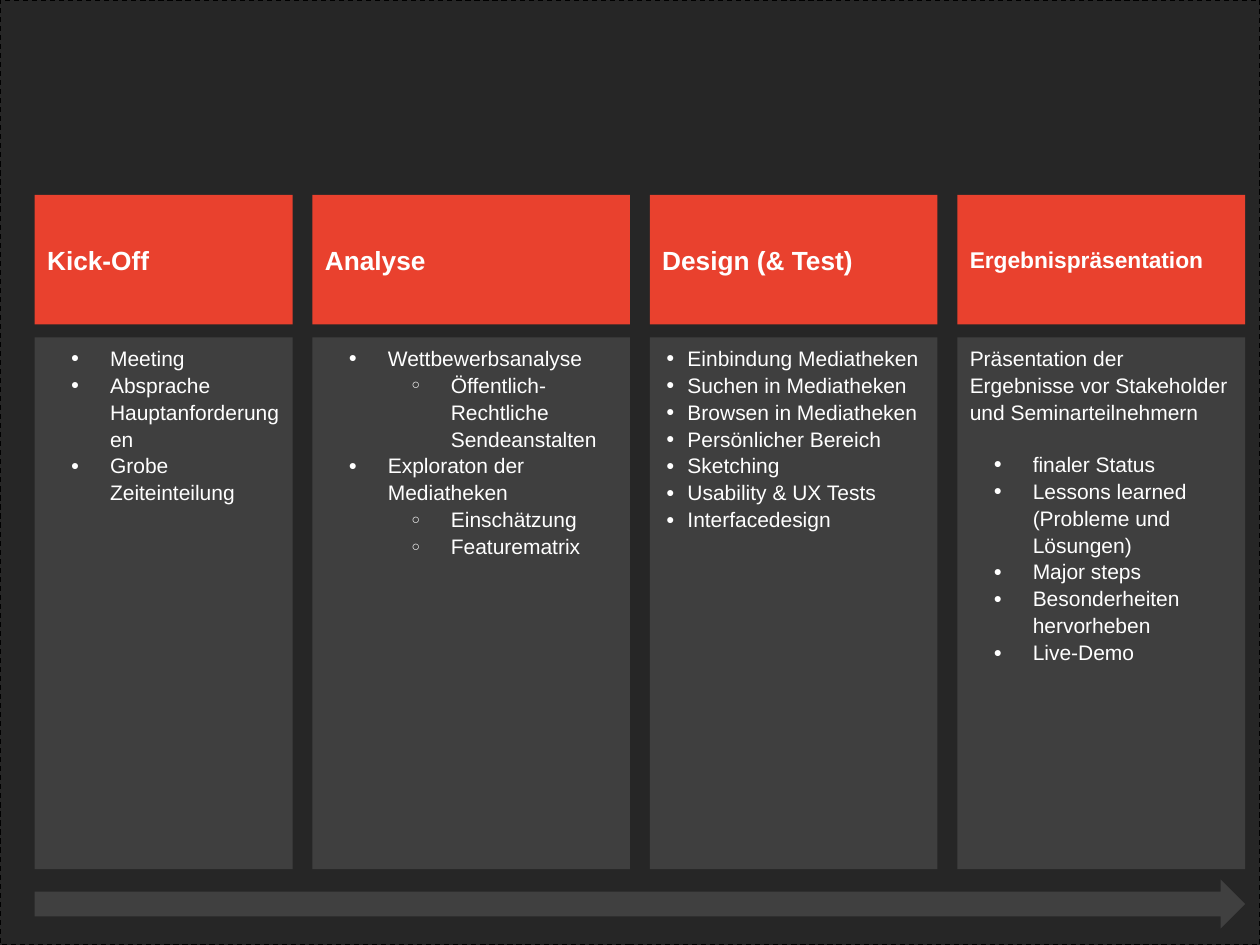
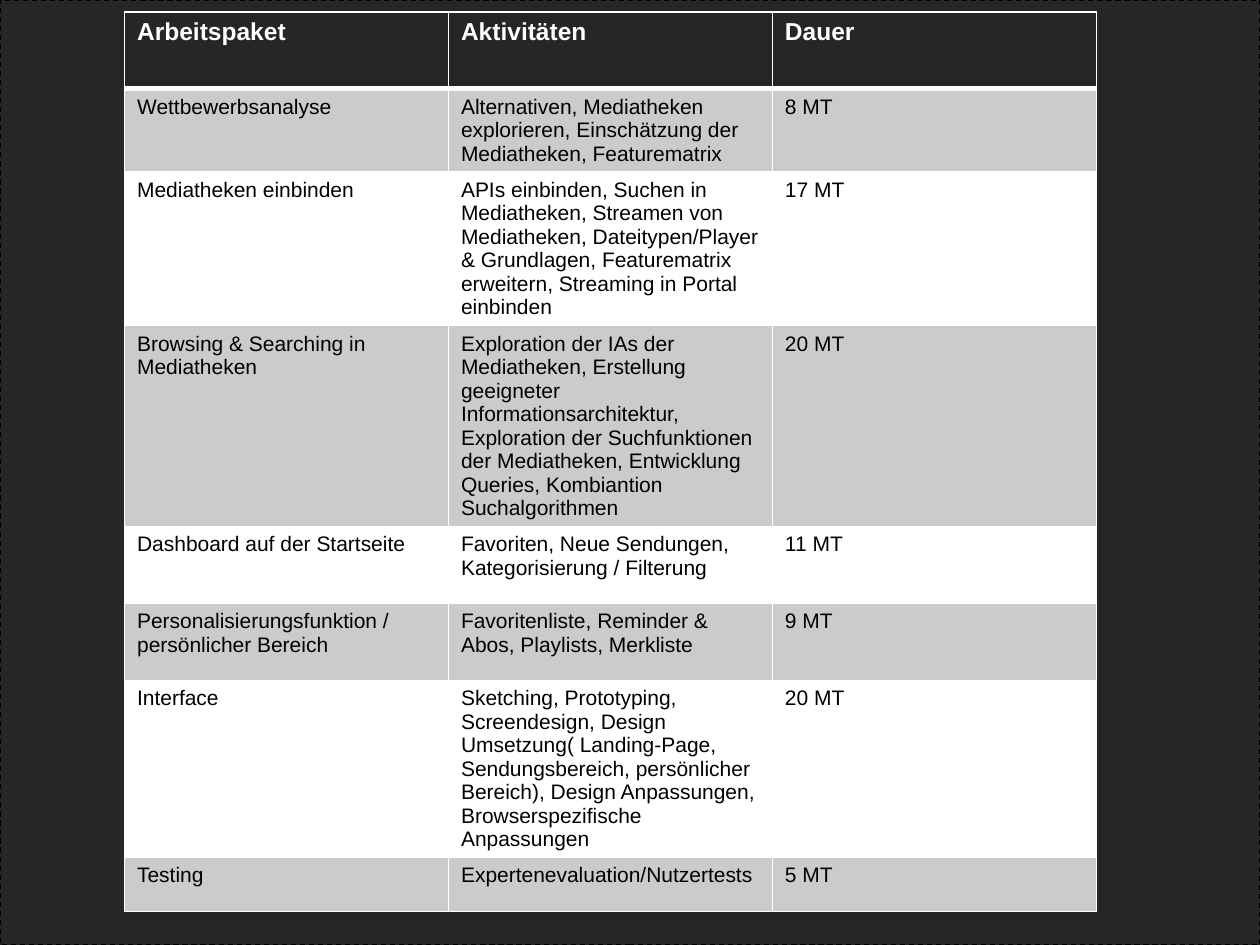
from dataclasses import dataclass
from typing import Optional

from lxml.etree import SubElement
from pptx import Presentation
from pptx.dml.color import RGBColor
from pptx.enum.dml import MSO_LINE
from pptx.enum.shapes import MSO_SHAPE
from pptx.enum.text import MSO_ANCHOR, PP_ALIGN
from pptx.oxml import parse_xml
from pptx.oxml.ns import nsdecls, qn
from pptx.util import Cm, Pt

WHITE = RGBColor(0xFF, 0xFF, 0xFF)
BLACK = RGBColor(0x00, 0x00, 0x00)
BACKDROP = RGBColor(0x26, 0x26, 0x26)
RED = RGBColor(0xE9, 0x41, 0x2E)
PANEL = RGBColor(0x3F, 0x3F, 0x3F)
ARROW = RGBColor(0x40, 0x40, 0x40)
BAND = RGBColor(0xCB, 0xCB, 0xCB)
FONT = "Arial"
PAGE_WIDTH, PAGE_HEIGHT = 25.4, 19.05
PHASE_LEFT, PHASE_GAP = 0.7, 0.4


@dataclass(frozen=True)
class Bullet:
    symbol: str
    margin: float
    indent: float
    level: int = 0


DOT = Bullet("●", 1.27, -0.79)
RING = Bullet("○", 2.54, -0.79, 1)
TIGHT_DOT = Bullet("●", 0.51, -0.43)


@dataclass(frozen=True)
class Item:
    text: str
    bullet: Optional[Bullet] = DOT
    space_before: float = 0


@dataclass(frozen=True)
class Phase:
    title: str
    width: float
    items: list[Item]
    title_size: int = 15


@dataclass(frozen=True)
class WorkPackage:
    name: str
    activities: str
    effort: str
    height: float = 1.55


PHASES = [
    Phase("Kick-Off", 5.2, [
        Item("Meeting"),
        Item("Absprache Hauptanforderungen"),
        Item("Grobe Zeiteinteilung"),
    ]),
    Phase("Analyse", 6.4, [
        Item("Wettbewerbsanalyse"),
        Item("Öffentlich-Rechtliche Sendeanstalten", RING),
        Item("Exploraton der Mediatheken"),
        Item("Einschätzung", RING),
        Item("Featurematrix", RING),
    ]),
    Phase("Design (& Test)", 5.8, [
        Item(text, TIGHT_DOT) for text in (
            "Einbindung Mediatheken", "Suchen in Mediatheken",
            "Browsen in Mediatheken", "Persönlicher Bereich",
            "Sketching", "Usability & UX Tests", "Interfacedesign")
    ]),
    Phase("Ergebnispräsentation", 5.8, [
        Item("Präsentation der Ergebnisse vor Stakeholder und Seminarteilnehmern", None),
        Item("finaler Status", space_before=14.4),
        Item("Lessons learned (Probleme und Lösungen)"),
        Item("Major steps"),
        Item("Besonderheiten hervorheben"),
        Item("Live-Demo"),
    ], 13),
]

WORK_PACKAGES = [
    WorkPackage("Arbeitspaket", "Aktivitäten", "Dauer"),
    WorkPackage("Wettbewerbsanalyse",
                "Alternativen, Mediatheken explorieren, Einschätzung der Mediatheken, "
                "Featurematrix", "8 MT"),
    WorkPackage("Mediatheken einbinden",
                "APIs einbinden, Suchen in Mediatheken, Streamen von Mediatheken, "
                "Dateitypen/Player & Grundlagen, Featurematrix erweitern, "
                "Streaming in Portal einbinden", "17 MT"),
    WorkPackage("Browsing & Searching in Mediatheken",
                "Exploration der IAs der Mediatheken, Erstellung geeigneter "
                "Informationsarchitektur, Exploration der Suchfunktionen der Mediatheken, "
                "Entwicklung Queries, Kombiantion Suchalgorithmen", "20 MT"),
    WorkPackage("Dashboard auf der Startseite",
                "Favoriten, Neue Sendungen, Kategorisierung / Filterung", "11 MT"),
    WorkPackage("Personalisierungsfunktion / persönlicher Bereich",
                "Favoritenliste, Reminder & Abos, Playlists, Merkliste", "9 MT"),
    WorkPackage("Interface",
                "Sketching, Prototyping, Screendesign, Design Umsetzung( Landing-Page, "
                "Sendungsbereich, persönlicher Bereich), Design Anpassungen, "
                "Browserspezifische Anpassungen", "20 MT", 3.35),
    WorkPackage("Testing", "Expertenevaluation/Nutzertests", "5 MT", 1.09),
]


def write(para, text: str, *, size: float = 12, color: RGBColor = WHITE,
          bold: bool = False, bullet: Optional[Bullet] = None,
          line_spacing: float = 1.0, space_before: float = 0) -> None:
    para.alignment = PP_ALIGN.LEFT
    para.line_spacing = line_spacing
    para.space_before = Pt(space_before)
    span = para.add_run()
    span.text = text
    span.font.name = FONT
    span.font.size = Pt(size)
    span.font.bold = bold
    span.font.color.rgb = color
    if bullet:
        para.level = bullet.level
        properties = para._p.get_or_add_pPr()
        properties.set("marL", str(Cm(bullet.margin)))
        properties.set("indent", str(Cm(bullet.indent)))
        bullet_color = SubElement(properties, qn("a:buClr"))
        SubElement(bullet_color, qn("a:srgbClr"), val=str(color))
        SubElement(properties, qn("a:buSzPct"), val="67000")
        SubElement(properties, qn("a:buFont"), typeface=FONT)
        SubElement(properties, qn("a:buChar"), char=bullet.symbol)


def add_box(page, left: float, top: float, width: float, height: float,
            fill: RGBColor, *, kind=MSO_SHAPE.RECTANGLE, anchor=MSO_ANCHOR.TOP):
    box = page.shapes.add_shape(kind, Cm(left), Cm(top), Cm(width), Cm(height))
    box.shadow.inherit = False
    box.fill.solid()
    box.fill.fore_color.rgb = fill
    box.line.fill.background()
    box.text_frame.word_wrap = True
    box.text_frame.vertical_anchor = anchor
    return box


def add_page(deck):
    page = deck.slides.add_slide(deck.slide_layouts[6])
    backdrop = add_box(page, 0, 0, PAGE_WIDTH, PAGE_HEIGHT, BACKDROP)
    backdrop.line.color.rgb = BLACK
    backdrop.line.width = Pt(0.75)
    backdrop.line.dash_style = MSO_LINE.DASH
    return page


def add_phase(page, phase: Phase, left: float) -> None:
    header = add_box(page, left, 3.93, phase.width, 2.61, RED, anchor=MSO_ANCHOR.MIDDLE)
    write(header.text_frame.paragraphs[0], phase.title, size=phase.title_size, bold=True)
    frame = add_box(page, left, 6.8, phase.width, 10.72, PANEL).text_frame
    for index, item in enumerate(phase.items):
        para = frame.add_paragraph() if index else frame.paragraphs[0]
        write(para, item.text, bullet=item.bullet, line_spacing=1.07,
              space_before=item.space_before)


def set_borders(cell, top: float, bottom: float) -> None:
    properties = cell._tc.get_or_add_tcPr()
    sides = {"lnL": 1, "lnR": 1, "lnT": top, "lnB": bottom}
    for index, (side, width) in enumerate(sides.items()):
        properties.insert(index, parse_xml(
            f'<a:{side} {nsdecls("a")} w="{Pt(width)}"><a:solidFill>'
            f'<a:srgbClr val="{WHITE}"/></a:solidFill></a:{side}>'))


def build_phases(deck) -> None:
    page = add_page(deck)
    left = PHASE_LEFT
    for phase in PHASES:
        add_phase(page, phase, left)
        left += phase.width + PHASE_GAP
    add_box(page, PHASE_LEFT, 17.73, left - PHASE_GAP - PHASE_LEFT, 0.99, ARROW,
            kind=MSO_SHAPE.RIGHT_ARROW)


def build_work_packages(deck) -> None:
    page = add_page(deck)
    column_width = 6.53
    height = sum(package.height for package in WORK_PACKAGES)
    table = page.shapes.add_table(len(WORK_PACKAGES), 3, Cm(2.51), Cm(0.24),
                                  Cm(3 * column_width), Cm(height)).table
    for column in table.columns:
        column.width = Cm(column_width)
    for index, package in enumerate(WORK_PACKAGES):
        is_header = index == 0
        fill = BACKDROP if is_header else BAND if index % 2 else WHITE
        table.rows[index].height = Cm(package.height)
        texts = (package.name, package.activities, package.effort)
        for cell, text in zip(table.rows[index].cells, texts):
            cell.fill.solid()
            cell.fill.fore_color.rgb = fill
            set_borders(cell, top=3 if index == 1 else 1, bottom=3 if is_header else 1)
            write(cell.text_frame.paragraphs[0], text, size=14 if is_header else 12,
                  color=WHITE if is_header else BLACK, bold=is_header)


def main() -> None:
    deck = Presentation()
    deck.slide_width = Cm(PAGE_WIDTH)
    deck.slide_height = Cm(PAGE_HEIGHT)
    build_phases(deck)
    build_work_packages(deck)
    deck.save("out.pptx")


if __name__ == "__main__":
    main()
